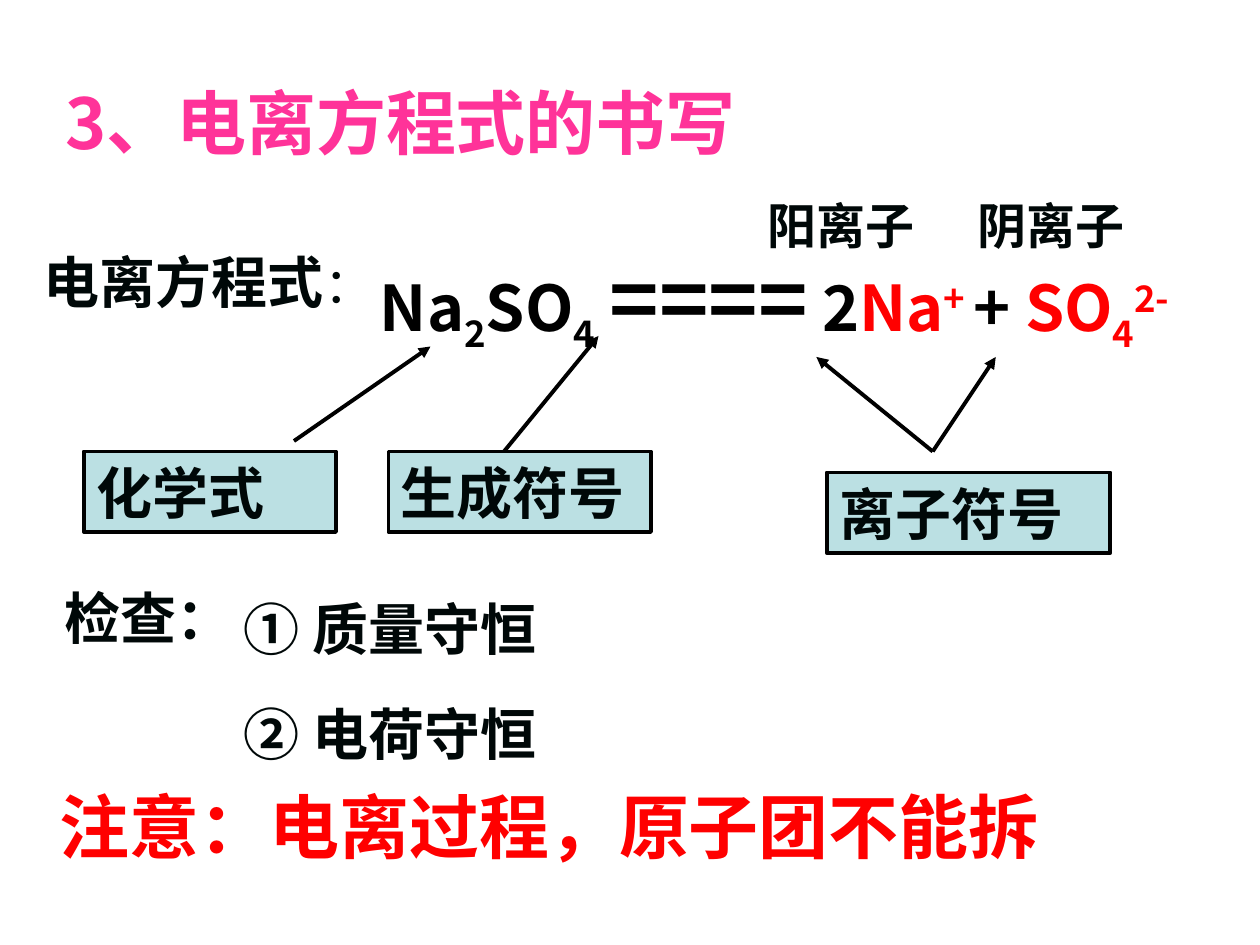
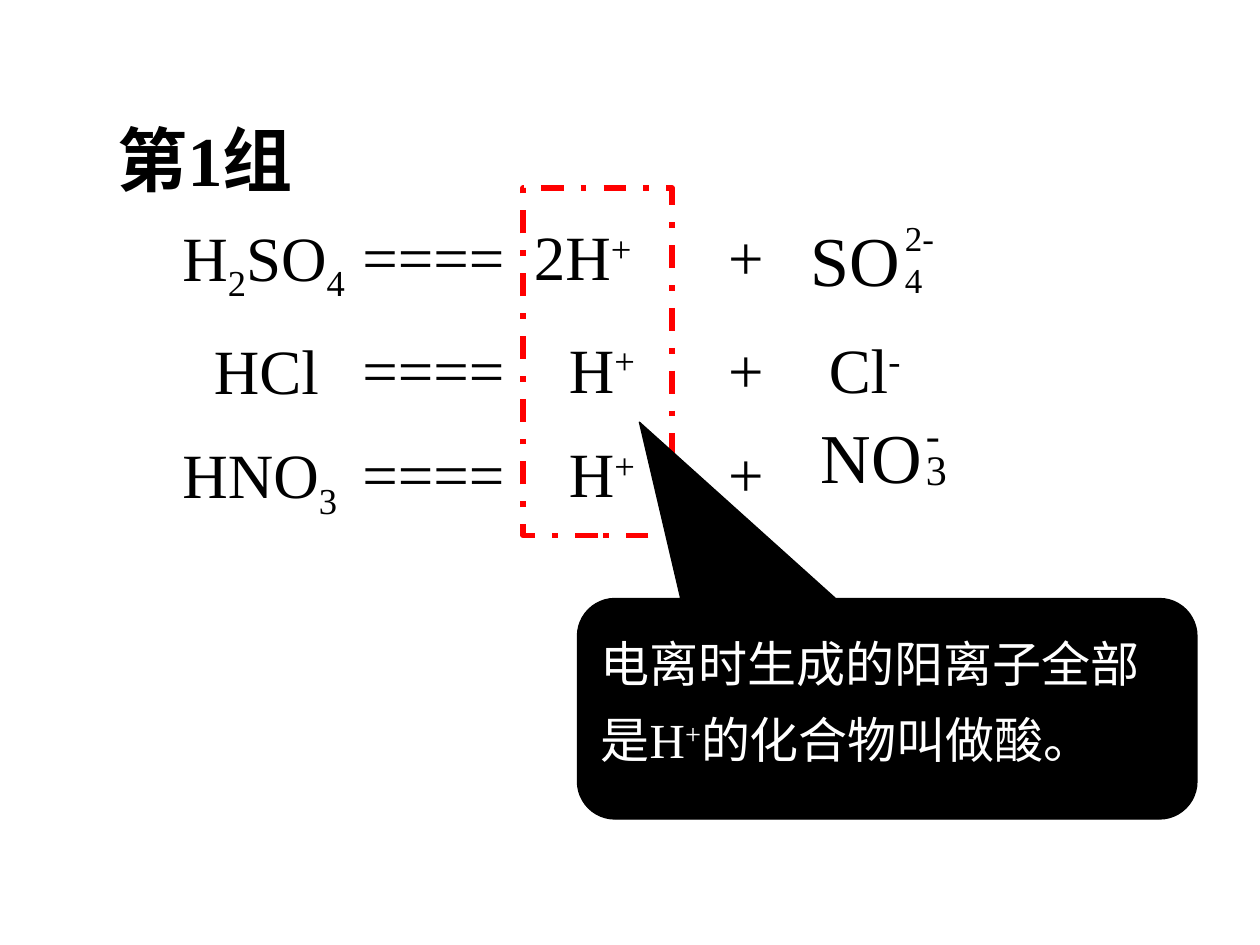
from lxml import etree
from pptx import Presentation
from pptx.dml.color import RGBColor
from pptx.enum.dml import MSO_LINE
from pptx.enum.shapes import MSO_CONNECTOR, MSO_SHAPE
from pptx.enum.text import MSO_ANCHOR, MSO_AUTO_SIZE, PP_ALIGN
from pptx.oxml.ns import qn
from pptx.util import Pt

RECTANGLE = MSO_SHAPE.RECTANGLE
CALLOUT = MSO_SHAPE.ROUNDED_RECTANGULAR_CALLOUT
STRAIGHT = MSO_CONNECTOR.STRAIGHT
DASH_DOT = MSO_LINE.DASH_DOT
TOP, MIDDLE = MSO_ANCHOR.TOP, MSO_ANCHOR.MIDDLE
LEFT = PP_ALIGN.LEFT
NO_AUTOFIT = MSO_AUTO_SIZE.NONE

CJK, SANS, SERIF = "Noto Sans CJK SC", "Arial", "Times New Roman"
BLACK, INK, WHITE = "000000", "000808", "FFFFFF"
RED, PINK, PALE_BLUE = "FF0000", "FF3399", "BBE0E3"

TITLE = dict(size=40, bold=True)
LABEL = dict(size=32, font=SANS, color=INK, bold=True)
ION_LABEL = LABEL | dict(size=28)
FORMULA = dict(size=36, font=CJK, color=BLACK, bold=True)
SERIF_FORMULA = dict(size=36, font=SERIF, color=BLACK)
SUB, SUP = dict(base=-25), dict(base=30)


def rgb(hex_color):
    return RGBColor.from_string(hex_color)


def place(shape, box):
    shape.left, shape.top, shape.width, shape.height = map(Pt, box)


def shift(origin, box):
    """Move a box given relative to origin onto the slide."""
    return (origin[0] + box[0], origin[1] + box[1], *box[2:])


def format_run(run, size, font, color, bold=False, base=0):
    run.font.size, run.font.name, run.font.bold = Pt(size), font, bold
    run.font.color.rgb = rgb(color)
    properties = run.font._element
    east_asian = etree.Element(qn("a:ea"), typeface=CJK)
    properties.find(qn("a:latin")).addnext(east_asian)
    if base:
        properties.set("baseline", str(base * 1000))


def flatten(paragraph, margin=0):
    """Drop the bullet and hanging indent, keeping only a left margin."""
    properties = paragraph._p.get_or_add_pPr()
    properties.set("marL", str(int(Pt(margin))))
    properties.set("indent", "0")
    etree.SubElement(properties, qn("a:buNone"))


def write(shape, paragraphs, style, gap=0, spacing=None, margins=(), anchor=TOP, wrap=True):
    """Fill a shape; a paragraph is a string or a list of (text, style changes)."""
    frame = shape.text_frame
    frame.word_wrap, frame.auto_size = wrap, NO_AUTOFIT
    frame.vertical_anchor = anchor
    for index, content in enumerate(paragraphs):
        paragraph = frame.add_paragraph() if index else frame.paragraphs[0]
        paragraph.alignment = LEFT
        paragraph.space_before = Pt(gap if index else 0)
        if spacing:
            paragraph.line_spacing = spacing
        flatten(paragraph, margins[index] if margins else 0)
        pieces = [(content, {})] if isinstance(content, str) else content
        for text, changes in pieces:
            run = paragraph.add_run()
            run.text = text
            format_run(run, **(style | changes))


def add_text(slide, box, content, style, **layout):
    write(slide.shapes.add_textbox(*map(Pt, box)), [content], style, **layout)


def add_block(slide, box, kind, fill, line, width):
    block = slide.shapes.add_shape(kind, *map(Pt, box))
    block.shadow.inherit = False
    if fill:
        block.fill.solid()
        block.fill.fore_color.rgb = rgb(fill)
    else:
        block.fill.background()
    block.line.color.rgb = rgb(line)
    block.line.width = Pt(width)
    return block


def add_arrow(slide, start, end):
    arrow = slide.shapes.add_connector(STRAIGHT, *map(Pt, start + end))
    arrow.line.color.rgb = rgb(BLACK)
    arrow.line.width = Pt(2.25)
    etree.SubElement(arrow.line._get_or_add_ln(), qn("a:tailEnd"), type="triangle")
    etree.SubElement(arrow._element.spPr, qn("a:effectLst"))


def add_title(slide, box, text, style, **layout):
    place(slide.shapes.title, box)
    write(slide.shapes.title, [text], TITLE | style, **layout)


def add_body(slide, box, paragraphs, style, **layout):
    body = slide.placeholders[1]
    place(body, box)
    write(body, paragraphs, style, **layout)


def ionization_diagram(slide, origin):
    """Equation with ion names above and explained parts below."""
    add_text(slide, shift(origin, (0, 30, 204, 46)),
             [("电离方程式", {}), ("：", dict(size=28, bold=False))], LABEL)
    for ion, left in (("阳离子", 413.5), ("阴离子", 533.5)):
        add_text(slide, shift(origin, (left, 0, 120, 41)), ion, ION_LABEL)

    for part, box in (("化学式", (30, 150, 144, 46)),
                      ("生成符号", (204, 150, 150, 46)),
                      ("离子符号", (454.5, 162, 162, 46))):
        block = add_block(slide, shift(origin, box), RECTANGLE, PALE_BLUE, BLACK, 2.25)
        write(block, [part], LABEL, anchor=MIDDLE)

    for start, end in (((150, 144), (228, 90)),
                       ((270, 150), (324, 84)),
                       ((515, 150), (448.5, 96)),
                       ((515, 150), (551, 96))):
        add_arrow(slide, shift(origin, start), shift(origin, end))

    red = dict(color=RED)
    equation = [("Na", {}), ("2", SUB), ("SO", {}), ("4", SUB), (" ", {}),
                ("====", dict(size=48)), (" 2", {}), ("Na", red),
                ("+ ", red | SUP), ("+ ", {}), ("SO", red),
                ("4", red | SUB), ("2-", red | SUP)]
    add_text(slide, shift(origin, (192, 30, 497, 68)), equation, FORMULA)


def writing_slide(slide):
    add_title(slide, (30, 42, 648, 63), "3、电离方程式的书写", dict(font=CJK, color=PINK))
    ionization_diagram(slide, (18, 108))
    add_text(slide, (30, 330, 126, 46), "检查：", LABEL)
    add_body(slide, (132, 336, 576, 108), ["① 质量守恒", "② 电荷守恒"], LABEL, gap=21.5)
    add_text(slide, (27, 444, 620, 55), "注意：电离过程，原子团不能拆",
             TITLE | dict(font=SANS, color=RED))


def stacked_ion(slide, origin, atoms, charge, count, offset, size, spacing=None):
    """Atoms followed by the charge set straight above the count."""
    add_text(slide, (*origin, 78, 55), atoms, SERIF_FORMULA | dict(size=40))
    marks = slide.shapes.add_textbox(*map(Pt, shift(origin, (*offset, 36, 55))))
    write(marks, [charge, count], SERIF_FORMULA | dict(size=size),
          spacing=spacing, wrap=False)


def acid_equations(slide, box):
    """Acids in the body; the other terms stand in columns beside them."""
    acids = [
        [("H", {}), ("2", SUB), ("SO", {}), ("4", SUB)],
        "HCl",
        [("HNO", {}), ("3", SUB)],
    ]
    add_body(slide, (*box[:2], 120, box[3]), acids, SERIF_FORMULA,
             gap=9, margins=(0, 18, 0))
    for paragraph in slide.placeholders[1].text_frame.paragraphs[1:]:
        paragraph.line_spacing = 1.15

    row_tops = (0, 64.5, 124)
    cations = (("2H", 201), ("H", 221), ("H", 221))
    for top, (cation, cation_left) in zip(row_tops, cations):
        for left, term in ((103, "===="),
                           (cation_left, [(cation, {}), ("+", SUP)]),
                           (312, "+")):
            add_text(slide, shift(box, (left, top, 100, 49)), term, SERIF_FORMULA,
                     wrap=False)

    stacked_ion(slide, shift(box, (359, -1)), "SO", "2-", "4", (54, 0), 20)
    add_text(slide, shift(box, (369.5, row_tops[1], 70, 49)),
             [("Cl", {}), ("-", SUP)], SERIF_FORMULA, wrap=False)
    stacked_ion(slide, shift(box, (365, 111.5)), "NO", "-", "3", (60, 6), 24, Pt(20))


def acid_definition(slide, box):
    callout = add_block(slide, box, CALLOUT, BLACK, BLACK, 0.75)
    for index, value in enumerate((-0.4, -1.3, 0.17)):
        callout.adjustments[index] = value
    definition = [("电离时生成的阳离子全部是H", {}), ("+", SUP), ("的化合物叫做酸。", {})]
    write(callout, [definition], dict(size=28, font=SERIF, color=WHITE), spacing=Pt(43.5))
    callout.text_frame.margin_top = Pt(4)


def acid_slide(slide):
    add_title(slide, (60, 66, 210, 53), "第1组", dict(font=SERIF, color=BLACK),
              spacing=Pt(45))
    frame = add_block(slide, (299, 107.5, 85, 198.5), RECTANGLE, None, RED, 3.25)
    frame.line.dash_style = DASH_DOT
    acid_equations(slide, (97, 121, 505, 186))
    acid_definition(slide, (330, 342, 354, 126))


def main():
    deck = Presentation()
    deck.slide_width, deck.slide_height = Pt(720), Pt(540)
    for build in (writing_slide, acid_slide):
        build(deck.slides.add_slide(deck.slide_layouts[1]))
    deck.save("out.pptx")


if __name__ == "__main__":
    main()
